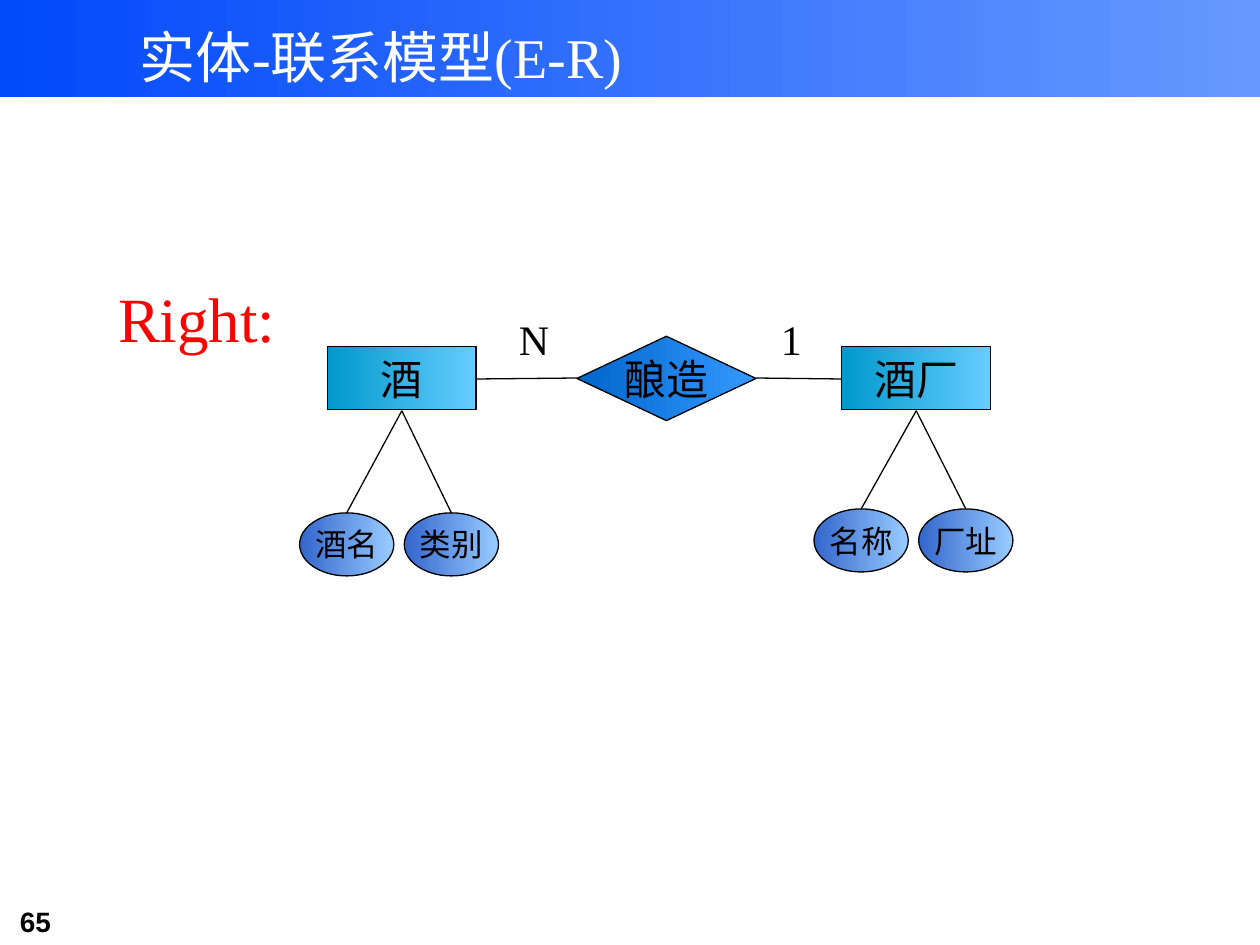
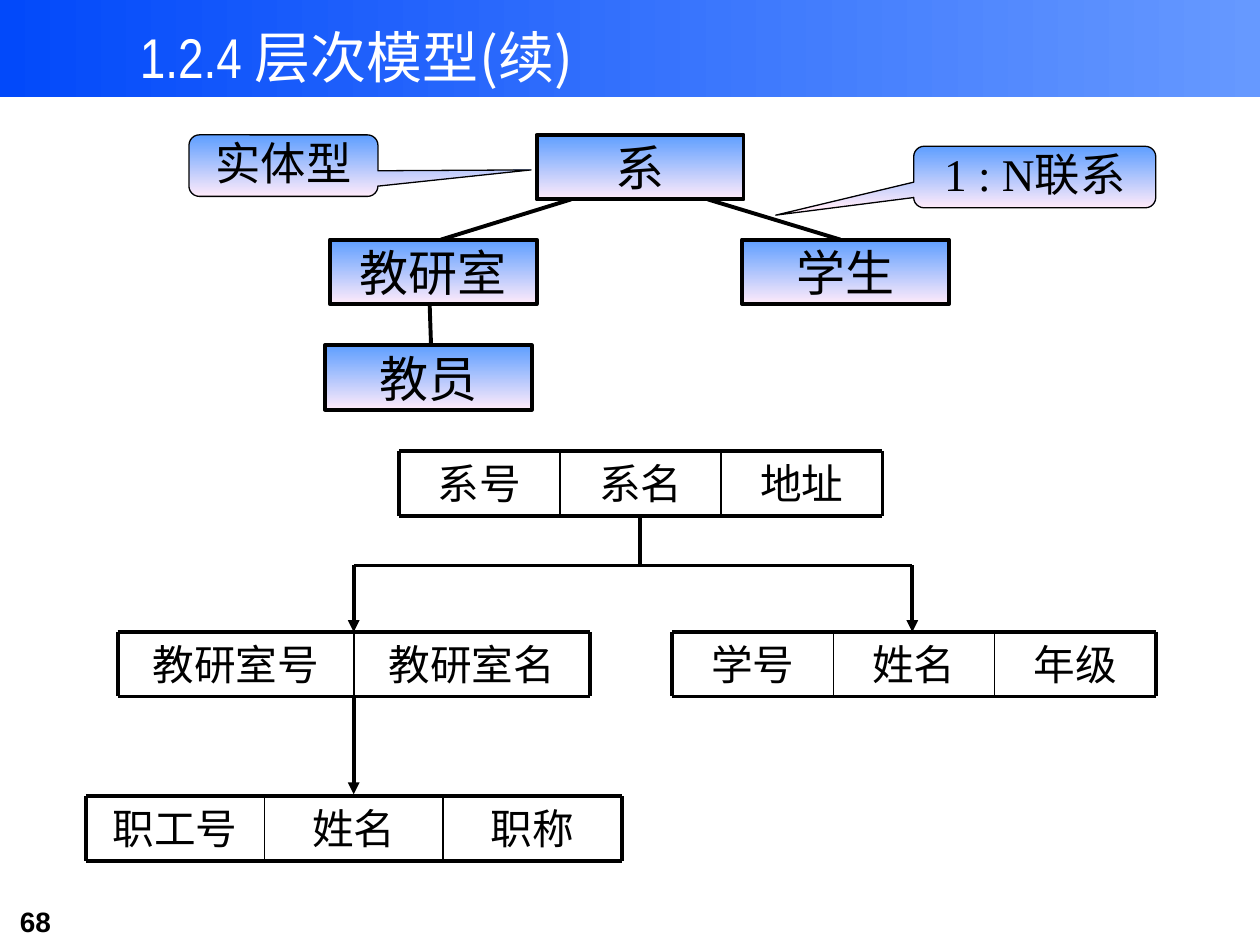
import pptx
import pptx.dml.color
import pptx.enum.shapes
import pptx.enum.text
import pptx.oxml
import pptx.oxml.ns
import pptx.util

Cm = pptx.util.Cm
Pt = pptx.util.Pt
SHAPES = pptx.enum.shapes.MSO_SHAPE
ANCHOR = pptx.enum.text.MSO_ANCHOR
ALIGN = pptx.enum.text.PP_ALIGN
BLANK_LAYOUT = 6

SERIF, CJK = "Times New Roman", "Noto Sans CJK SC"
BLACK, WHITE, RED = "000000", "FFFFFF", "FF0000"
BAND = ("0249FA", "6699FF")
ENTITY = ("0099CC", "66CCFF")
RELATION = ("0066CC", "3399FF")
ATTRIBUTE = ("3366CC", "99CCFF")
TREE = ("5E9EFF", "FFEBFA")
THIN, INNER, THICK = 0.75, 1, 2.25
INSETS = (0.25, 0.13, 0.25, 0.13)


def rgb(code):
    return pptx.dml.color.RGBColor.from_string(code)


def drawing_element(tag, **attributes):
    element = pptx.oxml.parse_xml(f"<a:{tag} {pptx.oxml.ns.nsdecls('a')}/>")
    for key, value in attributes.items():
        element.set(key, value)
    return element


def write(shape, text, size=24, font=SERIF, color=BLACK, bold=False, align=ALIGN.LEFT,
          anchor=ANCHOR.TOP, wrap=True, spacing=None, insets=INSETS):
    """Fill a shape with one paragraph; text is a string or a list of (string, font)."""
    frame = shape.text_frame
    frame.word_wrap = wrap
    frame.vertical_anchor = anchor
    (frame.margin_left, frame.margin_top,
     frame.margin_right, frame.margin_bottom) = map(Cm, insets)
    paragraph = frame.paragraphs[0]
    paragraph.alignment = align
    if spacing:
        paragraph.line_spacing = spacing
    for part, part_font in [(text, font)] if isinstance(text, str) else text:
        run = paragraph.add_run()
        run.text = part
        run.font.size = Pt(size)
        run.font.bold = bold
        run.font.color.rgb = rgb(color)
        run.font.name = part_font
        run.font._element.append(drawing_element("ea", typeface=CJK))


def add_text(slide, left, top, width, height, text, **style):
    box = slide.shapes.add_textbox(Cm(left), Cm(top), Cm(width), Cm(height))
    write(box, text, **style)


def add_node(slide, kind, left, top, width, height, gradient, angle=0, line=THIN,
             text=None, adjustments=(), **style):
    """Add a shape with a two-colour gradient, an outline and centred text."""
    node = slide.shapes.add_shape(kind, Cm(left), Cm(top), Cm(width), Cm(height))
    node.shadow.inherit = False
    for index, value in enumerate(adjustments):
        node.adjustments[index] = value
    node.fill.gradient()
    node.fill.gradient_angle = angle
    for stop, color in zip(node.fill.gradient_stops, gradient):
        stop.color.rgb = rgb(color)
    if line:
        node.line.color.rgb = rgb(BLACK)
        node.line.width = Pt(line)
    else:
        node.line.fill.background()
    if text:
        write(node, text, align=ALIGN.CENTER, **style)


def add_line(slide, x1, y1, x2, y2, weight=THICK, arrow=False):
    line = slide.shapes.add_connector(
        pptx.enum.shapes.MSO_CONNECTOR.STRAIGHT, Cm(x1), Cm(y1), Cm(x2), Cm(y2))
    line.line.color.rgb = rgb(BLACK)
    line.line.width = Pt(weight)
    if arrow:
        line.line._get_or_add_ln().append(drawing_element("tailEnd", type="triangle"))
    line._element.spPr.append(drawing_element("effectLst"))


def add_titled_slide(deck, title, number, title_height):
    slide = deck.slides.add_slide(deck.slide_layouts[BLANK_LAYOUT])
    add_node(slide, SHAPES.RECTANGLE, 0, 0, 25.4, 1.96, BAND, line=None)
    add_text(slide, 0.15, 18.11, 3.1, 0.94, number, size=16, font="Arial", bold=True)
    add_text(slide, 2.57, -0.36, 16.94, title_height, title, size=32, color=WHITE, spacing=1.5)
    return slide


def add_entity(slide, left, top, name, attributes, drop):
    """Entity box whose two attribute ovals hang `drop` below its top."""
    width, height, oval_width, pitch = 3, 1.27, 1.9, 2.11
    center = left + width / 2
    add_node(slide, SHAPES.RECTANGLE, left, top, width, height, ENTITY, text=name)
    for index, attribute in enumerate(attributes):
        oval_left = left - 0.56 + index * pitch
        add_node(slide, SHAPES.OVAL, oval_left, top + drop, oval_width, height, ATTRIBUTE,
                 text=attribute, size=18, anchor=ANCHOR.MIDDLE, wrap=False)
        add_line(slide, oval_left + oval_width / 2, top + drop, center, top + 1.29, THIN)


def add_er_diagram(slide, left, top):
    axis = top + 0.63
    add_entity(slide, left, top, "酒", ["酒名", "类别"], 3.35)
    add_entity(slide, left + 10.37, top, "酒厂", ["名称", "厂址"], 3.27)
    add_node(slide, SHAPES.FLOWCHART_DECISION, left + 5.03, top - 0.21, 3.61, 1.7, RELATION,
             text="酿造", anchor=ANCHOR.MIDDLE, wrap=False)
    add_line(slide, left + 3, axis + 0.02, left + 5.03, axis, THIN)
    add_line(slide, left + 8.64, axis, left + 10.37, axis + 0.02, THIN)
    add_text(slide, left + 3.61, top - 0.79, 1.12, 1.27, "N", wrap=False)
    add_text(slide, left + 8.89, top - 0.79, 0.91, 1.27, "1", wrap=False)


def add_record(slide, left, top, field_width, fields):
    """Row of fields with a thick frame and thin dividers."""
    height = 1.3
    right = left + field_width * len(fields)
    for index, field in enumerate(fields):
        add_text(slide, left + index * field_width, top, field_width, height, field,
                 size=23.8, align=ALIGN.CENTER)
    for y in (top, top + height):
        add_line(slide, left, y, right, y)
    for index in range(len(fields) + 1):
        x = left + index * field_width
        add_line(slide, x, top, x, top + height, THICK if index in (0, len(fields)) else INNER)


def add_record_hierarchy(slide, left, top):
    office_x, student_x, root_x = left + 5.4, left + 16.66, left + 11.18
    fork, second_row, third_row = top + 2.3, top + 3.64, top + 6.95
    add_record(slide, left + 6.31, top, 3.25, ["系号", "系名", "地址"])
    add_record(slide, left + 0.64, second_row, 4.76, ["教研室号", "教研室名"])
    add_record(slide, left + 11.82, second_row, 3.25, ["学号", "姓名", "年级"])
    add_record(slide, left, third_row, 3.6, ["职工号", "姓名", "职称"])
    for x in (office_x, student_x):
        add_line(slide, x, fork, x, second_row, arrow=True)
    add_line(slide, office_x, fork, student_x, fork)
    add_line(slide, office_x, second_row + 1.34, office_x, third_row - 0.04, arrow=True)
    add_line(slide, root_x, top + 1.34, root_x, fork)


def add_entity_tree(slide, left, top):
    entities = [("系", 7.01, 0), ("教研室", 2.84, 2.11), ("学生", 11.15, 2.11),
                ("教员", 2.74, 4.24)]
    for name, x, y in entities:
        add_node(slide, SHAPES.RECTANGLE, left + x, top + y, 4.17, 1.3, TREE, angle=270,
                 line=THICK, text=name, size=28, font=CJK, anchor=ANCHOR.MIDDLE,
                 insets=(0, 0, 0, 0))
    branches = [(7.7, 1.3, 5.08, 2.11), (10.46, 1.3, 13.13, 2.11), (4.85, 3.38, 4.88, 4.26)]
    for x1, y1, x2, y2 in branches:
        add_line(slide, left + x1, top + y1, left + x2, top + y2)
    callouts = [("1 : N联系", 14.61, 0.23, 4.88, (-1.07, 0.62, 0.17)),
                ("实体型", 0, 0, 3.81, (1.31, 0.07, 0.17))]
    for label, x, y, width, pointer in callouts:
        add_node(slide, SHAPES.ROUNDED_RECTANGULAR_CALLOUT, left + x, top + y, width, 1.24,
                 TREE, angle=270, text=label, size=25.9, adjustments=pointer,
                 anchor=ANCHOR.MIDDLE, insets=(0, 0, 0, 0.13))


def main():
    deck = pptx.Presentation()
    deck.slide_width, deck.slide_height = Cm(25.4), Cm(19.05)

    er_model = add_titled_slide(deck, "实体-联系模型(E-R)", "65", 4.32)
    add_er_diagram(er_model, 6.6, 6.99)
    add_text(er_model, 2.13, 5.51, 3.68, 1.78, "Right:", size=36, color=RED, wrap=False)

    hierarchy = add_titled_slide(
        deck, [("1.2.4 ", "Arial Narrow"), ("层次模型(续)", CJK)], "68", 2.29)
    add_record_hierarchy(hierarchy, 1.73, 9.1)
    add_entity_tree(hierarchy, 3.81, 2.72)

    deck.save("out.pptx")


if __name__ == "__main__":
    main()
